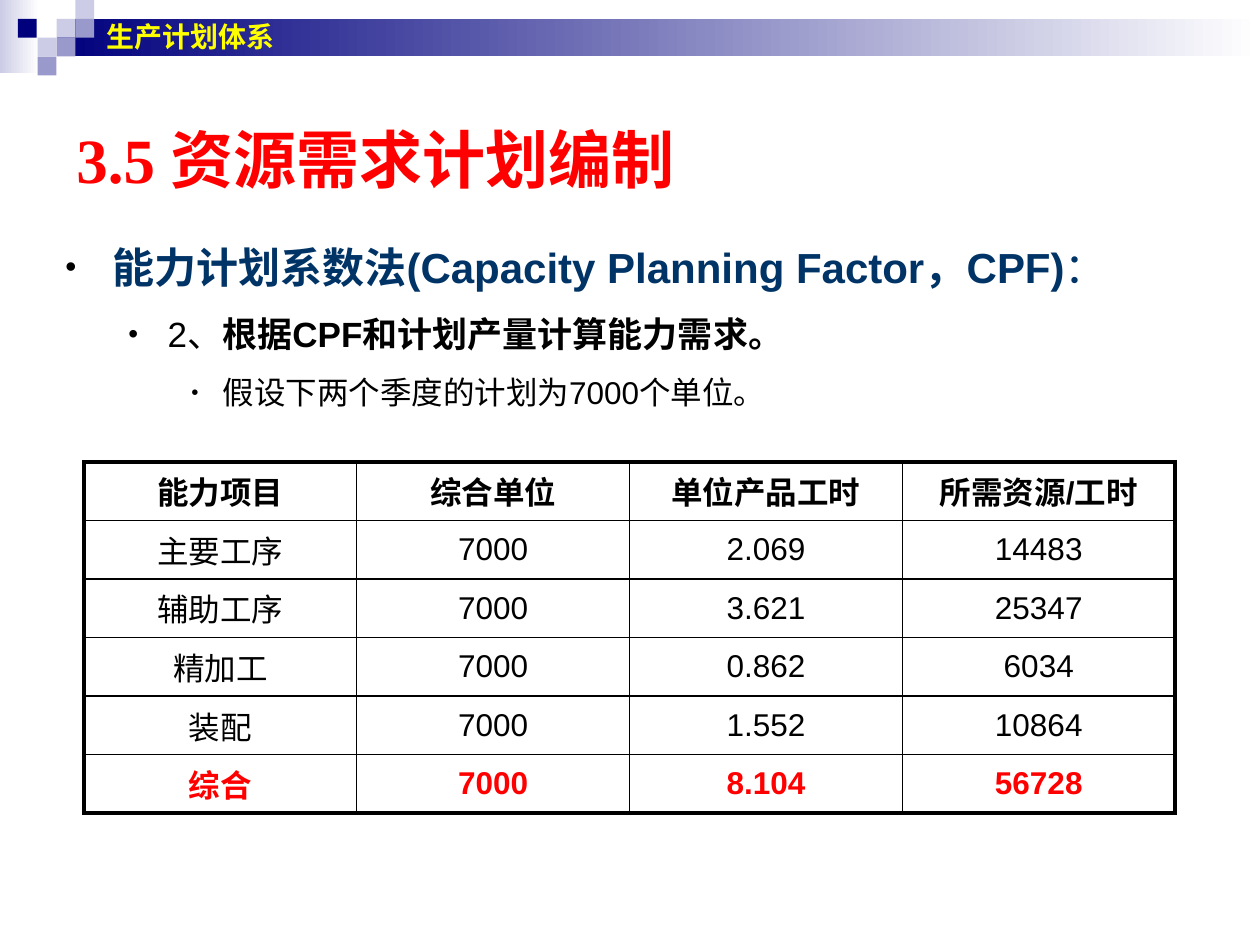
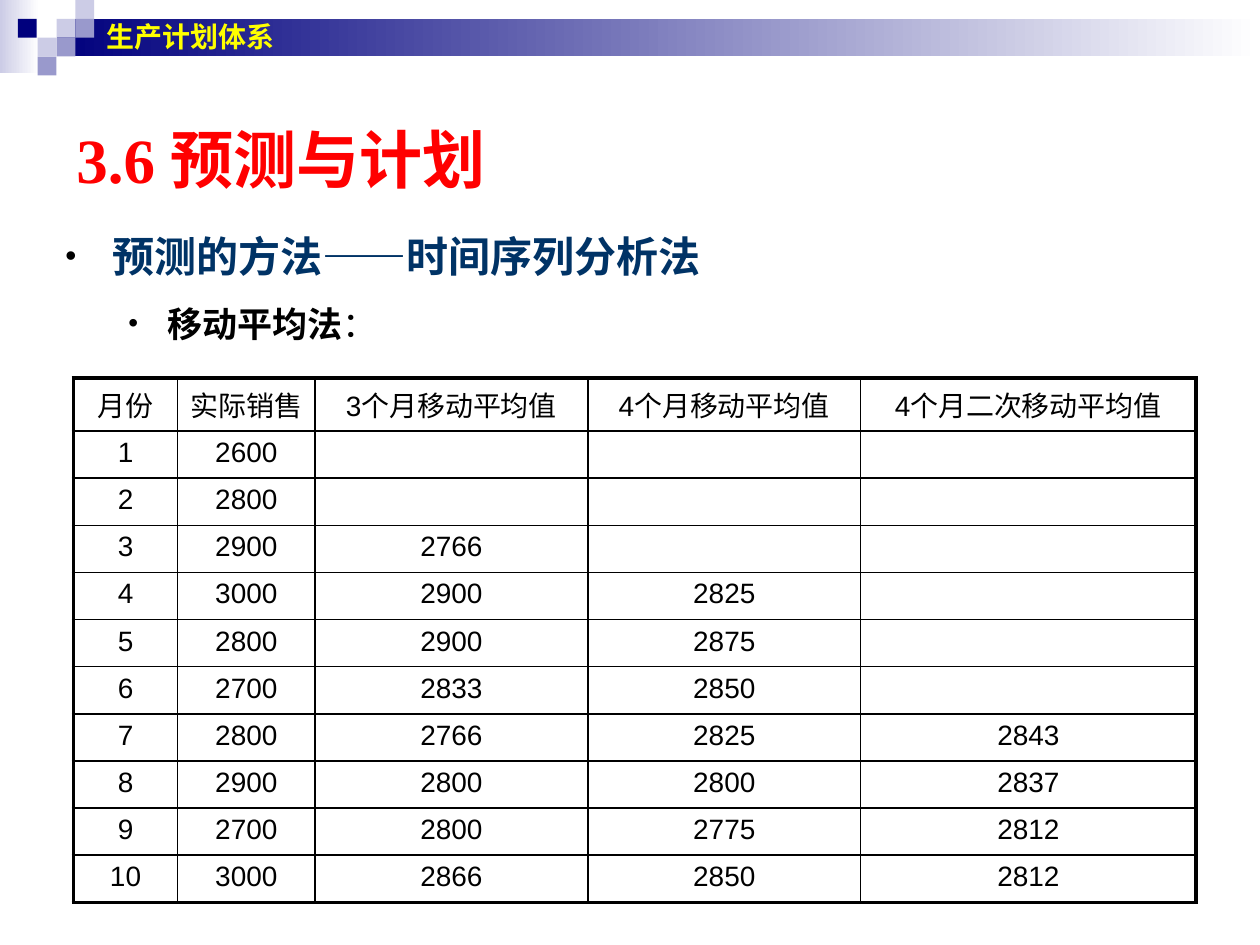
from lxml.etree import SubElement
from pptx import Presentation
from pptx.dml.color import RGBColor
from pptx.enum.shapes import MSO_SHAPE as SHAPE
from pptx.enum.text import MSO_ANCHOR as ANCHOR, PP_ALIGN as ALIGN
from pptx.oxml import parse_xml
from pptx.oxml.ns import nsdecls, qn
from pptx.util import Cm, Pt

NAVY, LILAC, VIOLET = "00007D", "CCCCE6", "9999CC"
WHITE, BLACK, RED, BLUE, YELLOW = "FFFFFF", "000000", "FF0000", "003366", "FFFF00"
HEADER = "生产计划体系"
UNIT = 0.38

BANDS = [(0, 0, 0.79, 1.47, LILAC), (1.14, 0.38, 24.26, 0.76, NAVY)]
SQUARES = [(3, 1, LILAC), (4, 0, LILAC), (4, 1, VIOLET), (2, 2, LILAC),
           (0.95, 1, NAVY), (3, 2, VIOLET), (2, 3, VIOLET)]

TITLE_FMT = {"name": "Times New Roman", "size": Pt(36), "bold": True, "color": RED}
HEADER_FMT = {"name": "Arial", "size": Pt(16), "bold": True, "color": YELLOW}
LEVELS = [
    {"indent": 0.95, "hang": 0.95, "bullet": 75, "size": 24, "color": BLUE},
    {"indent": 2.06, "hang": 0.79, "bullet": 80, "size": 20, "color": BLACK},
    {"indent": 3.17, "hang": 0.63, "bullet": 65, "size": 18, "color": BLACK},
]

SLIDES = [
    {
        "title": "3.5 资源需求计划编制",
        "body_top": 4.23,
        "body": [
            [("能力计划系数法(Capacity Planning Factor，CPF)", True), ("：", False)],
            [("2、", False), ("根据CPF和计划产量计算能力需求。", True)],
            [("假设下两个季度的计划为7000个单位。", False)],
        ],
        "table": {
            "left": 1.69, "top": 9.31, "cols": [5.5] * 4, "head": 1.18, "row": 1.18,
            "size": 18, "anchor": ANCHOR.MIDDLE, "bold_rows": (0, 5), "red_rows": (5,),
            "rows": [
                ["能力项目", "综合单位", "单位产品工时", "所需资源/工时"],
                ["主要工序", "7000", "2.069", "14483"],
                ["辅助工序", "7000", "3.621", "25347"],
                ["精加工", "7000", "0.862", "6034"],
                ["装配", "7000", "1.552", "10864"],
                ["综合", "7000", "8.104", "56728"],
            ],
        },
    },
    {
        "title": "3.6 预测与计划",
        "body_top": 4.02,
        "body": [
            [("预测的方法——时间序列分析法", True)],
            [("移动平均法", True), ("：", False)],
        ],
        "table": {
            "left": 1.48, "top": 7.62, "cols": [2.1, 2.77, 5.5, 5.5, 6.76],
            "head": 1.07, "row": 0.95,
            "size": 16, "anchor": ANCHOR.TOP, "bold_rows": (), "red_rows": (),
            "rows": [
                ["月份", "实际销售", "3个月移动平均值", "4个月移动平均值", "4个月二次移动平均值"],
                ["1", "2600", "", "", ""],
                ["2", "2800", "", "", ""],
                ["3", "2900", "2766", "", ""],
                ["4", "3000", "2900", "2825", ""],
                ["5", "2800", "2900", "2875", ""],
                ["6", "2700", "2833", "2850", ""],
                ["7", "2800", "2766", "2825", "2843"],
                ["8", "2900", "2800", "2800", "2837"],
                ["9", "2700", "2800", "2775", "2812"],
                ["10", "3000", "2866", "2850", "2812"],
            ],
        },
    },
]


def rgb(value):
    return RGBColor.from_string(value)


def add_run(p, text, fmt):
    r = p.add_run()
    r.text = text
    for key, value in fmt.items():
        if key == "color":
            r.font.color.rgb = rgb(value)
        else:
            setattr(r.font, key, value)


prs = Presentation()
prs.slide_width, prs.slide_height = Cm(25.4), Cm(19.05)

for page in SLIDES:
    s = prs.slides.add_slide(prs.slide_layouts[6])

    for x, y, w, h, color in BANDS:
        sp = s.shapes.add_shape(SHAPE.RECTANGLE, Cm(x), Cm(y), Cm(w), Cm(h))
        sp.shadow.inherit = False
        sp.line.fill.background()
        sp.fill.gradient()
        sp.fill.gradient_angle = 0
        for stop, value in zip(sp.fill.gradient_stops, (color, WHITE)):
            stop.color.rgb = rgb(value)

    for col, row, color in SQUARES:
        sp = s.shapes.add_shape(SHAPE.RECTANGLE, Cm(col * UNIT), Cm(row * UNIT), Cm(UNIT), Cm(UNIT))
        sp.shadow.inherit = False
        sp.line.fill.background()
        sp.fill.solid()
        sp.fill.fore_color.rgb = rgb(color)

    for text, box, fmt in [(page["title"], (1.29, 1.28, 22.86, 3.81), TITLE_FMT),
                           (HEADER, (1.9, 0, 22.43, 1.47), HEADER_FMT)]:
        tf = s.shapes.add_textbox(*map(Cm, box)).text_frame
        tf.word_wrap = True
        tf.vertical_anchor = ANCHOR.MIDDLE
        add_run(tf.paragraphs[0], text, fmt)

    tf = s.shapes.add_textbox(Cm(1.07), Cm(page["body_top"]), Cm(23.7), Cm(4.6)).text_frame
    tf.word_wrap = True
    for i, (runs, level) in enumerate(zip(page["body"], LEVELS)):
        p = tf.add_paragraph() if i else tf.paragraphs[0]
        p.level = i
        p.line_spacing = 1.5
        pPr = p._p.get_or_add_pPr()
        pPr.set("marL", str(Cm(level["indent"])))
        pPr.set("indent", str(-Cm(level["hang"])))
        SubElement(SubElement(pPr, qn("a:buClr")), qn("a:srgbClr"), val=BLACK)
        SubElement(pPr, qn("a:buSzPct"), val=str(level["bullet"] * 1000))
        SubElement(pPr, qn("a:buFont"), typeface="Arial")
        SubElement(pPr, qn("a:buChar"), char="•")
        for text, bold in runs:
            add_run(p, text, {"name": "Arial", "size": Pt(level["size"]),
                              "bold": bold, "color": level["color"]})

    grid = page["table"]
    rows, cols = grid["rows"], grid["cols"]
    heights = [grid["head"]] + [grid["row"]] * (len(rows) - 1)
    table = s.shapes.add_table(len(rows), len(cols), Cm(grid["left"]), Cm(grid["top"]),
                               Cm(sum(cols)), Cm(sum(heights))).table
    table.first_row = table.horz_banding = False
    for column, width in zip(table.columns, cols):
        column.width = Cm(width)
    for i, values in enumerate(rows):
        table.rows[i].height = Cm(heights[i])
        for j, text in enumerate(values):
            cell = table.cell(i, j)
            cell.fill.background()
            cell.vertical_anchor = grid["anchor"]
            p = cell.text_frame.paragraphs[0]
            p.alignment = ALIGN.CENTER
            if text:
                add_run(p, text, {"name": "Arial", "size": Pt(grid["size"]),
                                  "bold": i in grid["bold_rows"],
                                  "color": RED if i in grid["red_rows"] else BLACK})
            else:
                SubElement(p._p, qn("a:endParaRPr"), sz=str(grid["size"] * 100))
            edges = {"lnL": j == 0, "lnR": j == len(cols) - 1,
                     "lnT": i == 0, "lnB": i == len(rows) - 1}
            for k, (tag, outer) in enumerate(edges.items()):
                width = Pt(2.25 if outer else 1)
                cell._tc.get_or_add_tcPr().insert(k, parse_xml(
                    f'<a:{tag} {nsdecls("a")} w="{width}"><a:solidFill>'
                    f'<a:srgbClr val="{BLACK}"/></a:solidFill></a:{tag}>'))

prs.save("out.pptx")
